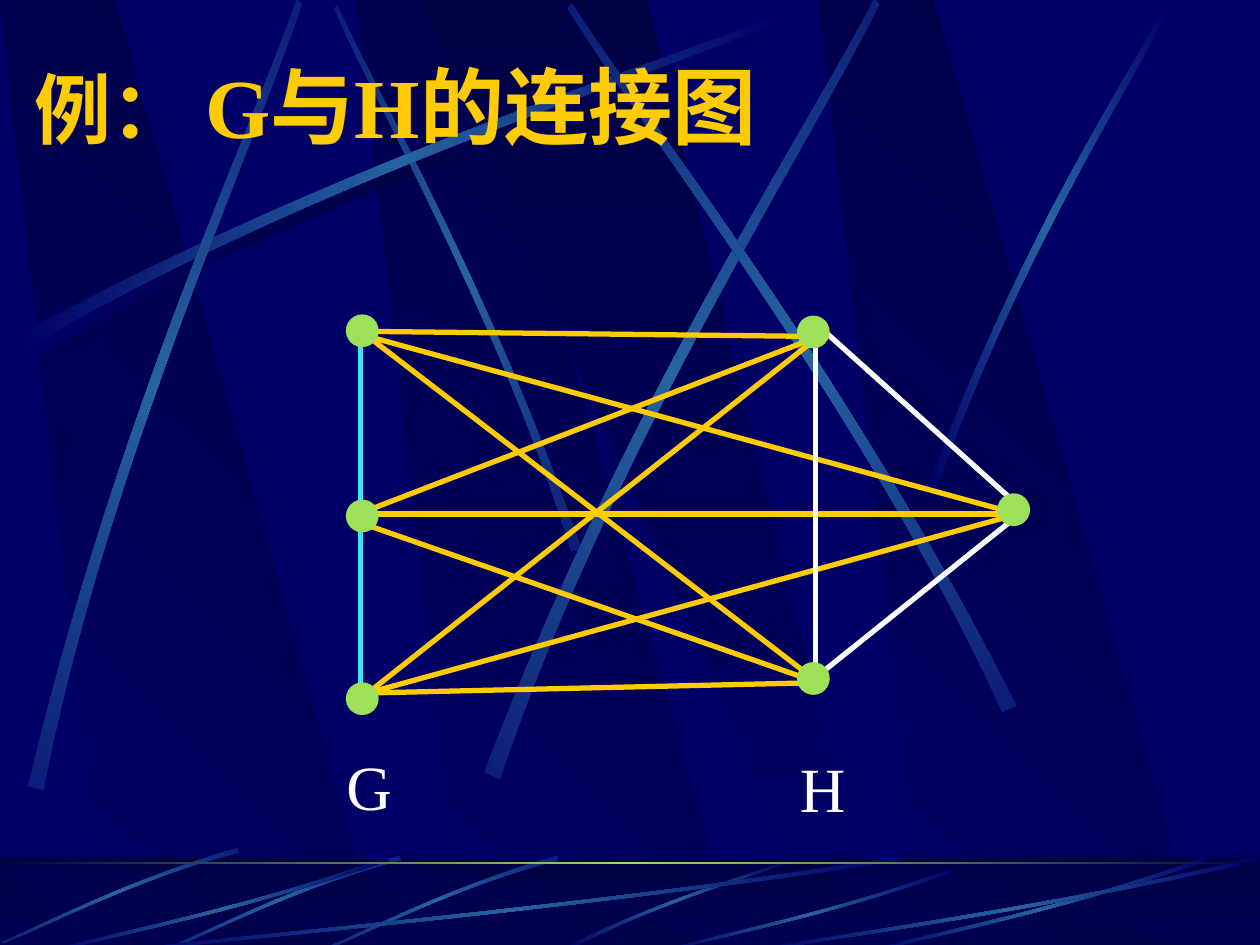
from copy import deepcopy

from lxml import etree
from pptx import Presentation
from pptx.dml.color import RGBColor
from pptx.enum.shapes import MSO_CONNECTOR, MSO_SHAPE
from pptx.enum.text import MSO_ANCHOR, MSO_AUTO_SIZE, PP_ALIGN
from pptx.oxml.ns import qn
from pptx.util import Inches, Pt

STRAIGHT = MSO_CONNECTOR.STRAIGHT
RECTANGLE, OVAL = MSO_SHAPE.RECTANGLE, MSO_SHAPE.OVAL
MIDDLE, LEFT = MSO_ANCHOR.MIDDLE, PP_ALIGN.LEFT
FIT_SHAPE = MSO_AUTO_SIZE.SHAPE_TO_FIT_TEXT
COLUMNS, ROWS = 10, 7.5
CELL = Inches(1)
LATIN, CHINESE = "Times New Roman", "Noto Sans CJK SC"
COLORS = {"night": "000066", "shade": "000044", "beam": "2663A0", "gold": "FFCC00",
          "green": "9CE157", "cyan": "40E2F8", "white": "FFFFFF"}
DUSK = ("shade", "night")
GLOW = ("night", "beam", "night")
SHADOW = ("night", "shade", "night")
RAY = [(0, .96), (.43, .43), (.83, .16), (1, 0),
       (1, .02), (.83, .19), (.38, .5), (.01, 1)]
BLADE = [(1, .04), (.57, .57), (.17, .85), (.01, 1),
         (0, .98), (.17, .81), (.62, .5), (.99, 0)]
BAND = [(.28, 1), (1, 1), (.3, 0), (0, 0)]
WEDGE = [(0, 0), (.9, 1), (1, 1), (.5, 0)]


def color(name):
    """Return the named colour."""
    return RGBColor.from_string(COLORS[name])


def cells(*lengths):
    """Convert grid lengths to slide units."""
    return [round(length * CELL) for length in lengths]


def paint(shape, names, angle=0):
    """Fill a shape with evenly spaced gradient stops and no outline."""
    shape.shadow.inherit = False
    shape.line.fill.background()
    shape.fill.gradient()
    shape.fill.gradient_angle = -angle % 360
    stop_list = next(shape.element.iter(qn("a:gsLst")))
    if len(names) == 3:
        stop_list.append(deepcopy(stop_list[0]))
    for index, (stop, name) in enumerate(zip(shape.fill.gradient_stops, names)):
        stop.color.rgb = color(name)
        stop.position = index / (len(names) - 1)


def solid(page, kind, box, name):
    """Add a plain shape of one colour."""
    shape = page.shapes.add_shape(kind, *cells(*box))
    shape.shadow.inherit = False
    shape.fill.solid()
    shape.fill.fore_color.rgb = color(name)
    return shape


def outline(page, box, points, names, angle):
    """Add a gradient polygon whose points are shares of its box."""
    left, top, width, height = box
    corners = [cells(left + x * width, top + y * height) for x, y in points]
    builder = page.shapes.build_freeform(*corners[0])
    builder.add_line_segments(corners[1:], close=True)
    shape = builder.convert_to_shape()
    paint(shape, names, angle)
    return shape


def bend(shape):
    """Turn the two long sides of an eight-point outline into cubic curves."""
    segments = list(shape.element.iter(qn("a:lnTo")))
    for side in (segments[:3], segments[4:7]):
        curve = etree.Element(qn("a:cubicBezTo"))
        side[0].addprevious(curve)
        for segment in side:
            curve.append(segment[0])
            segment.getparent().remove(segment)


def streak(page, box, points=RAY, turn=0, mirrored=False, names=GLOW):
    """Add a tapering beam of light in a box, mirrored and turned on request."""
    if mirrored:
        points = [(1 - x, y) for x, y in points]
    beam = outline(page, box, points, names, 180)
    bend(beam)
    beam.rotation = turn


def bands(page, box):
    """Add the dark diagonal bands of a backdrop region."""
    left, top, width, height = box
    for start in (.283, 0, .65):
        outline(page, (left + start * width, top, .302 * width, height), BAND, DUSK, 135)
    outline(page, (left + .333 * width, top, .361 * width, height), WEDGE, DUSK, 90)


def sky(page, box):
    """Add the large bands and light beams."""
    left, top = box[:2]
    bands(page, box)
    for x, y, width, height, turn, mirrored, names in (
            (.2, .18, 6.08, 2.67, 0, False, SHADOW),
            (1.41, 1.35, 4.42, 1.75, 45, True, GLOW),
            (.14, .1, 6.08, 2.67, 0, False, GLOW),
            (-1.71, 1.82, 6.08, 2.67, 311.7, False, GLOW),
            (2.31, 1.6, 6.24, 3.01, 321.6, False, GLOW),
            (3.23, 1.52, 6.08, 2.67, 34.8, True, GLOW),
            (7.38, 0, 1.89, 3.97, 0, False, GLOW)):
        streak(page, (left + x, top + y, width, height),
               turn=turn, mirrored=mirrored, names=names)


def floor(page, box):
    """Add the strip at the foot with its bands, beams and green rule."""
    left, top, width, height = box
    paint(page.shapes.add_shape(RECTANGLE, *cells(*box)), DUSK, 90)
    bands(page, (left, top + .08, width, height - .08))
    veil = solid(page, RECTANGLE, box, "shade")
    veil.line.fill.background()
    fill_color = next(veil.element.iter(qn("a:srgbClr")))
    etree.SubElement(fill_color, qn("a:alpha"), val="50000")
    streak(page, (left + 4.48, top + .02, 1.8, height - .02))
    for start, drop in ((2.58, -.04), (1.33, -.04), (.04, -.1)):
        streak(page, (left + start, top + drop, 1.84, .83), turn=314.9, mirrored=True)
    for start, length, drop in ((1, 6.17, 0), (.42, 2.67, 0), (5.27, 2.31, .09),
                                (6.92, 2.67, 0), (6, 4, 0)):
        streak(page, (left + start, top + drop, length, height - drop), BLADE)
    rule = page.shapes.add_shape(RECTANGLE, *cells(left, top + .04, width, .02))
    paint(rule, ("shade", "green", "shade"), 180)


def write(para, text, size, name, font=LATIN, bold=False):
    """Add a formatted span of text to a paragraph."""
    span = para.add_run()
    span.text = text
    span.font.size, span.font.bold, span.font.name = Pt(size), bold, font
    span.font.color.rgb = color(name)
    etree.SubElement(span.font._element, qn("a:ea"), typeface=CHINESE)


def heading(page, box):
    """Fill the title placeholder."""
    title = page.shapes.title
    title.left, title.top, title.width, title.height = cells(*box)
    frame = title.text_frame
    frame.vertical_anchor, frame.auto_size = MIDDLE, FIT_SHAPE
    para = frame.paragraphs[0]
    para.alignment = LEFT
    for text, size, font in (("例： ", 44, LATIN), ("G", 48, LATIN), ("与", 48, CHINESE),
                             ("H", 48, LATIN), ("的连接图", 48, CHINESE)):
        write(para, text, size, "gold", font, bold=True)


def graph(page, box, edges, nodes, labels):
    """Draw edges, then nodes, then labels, measured from the corner of the box."""
    left, top = box[:2]
    for name, ends in edges:
        for x1, y1, x2, y2 in ends:
            edge = page.shapes.add_connector(
                STRAIGHT, *cells(left + x1, top + y1, left + x2, top + y2))
            edge.line.color.rgb, edge.line.width = color(name), Pt(3)
            etree.SubElement(edge.element.spPr, qn("a:effectLst"))
    for x, y in nodes:
        node = solid(page, OVAL, (left + x, top + y, .25, .25), "green")
        node.line.color.rgb, node.line.width = color("green"), Pt(.75)
    for text, x, y in labels:
        label = page.shapes.add_textbox(*cells(left + x, top + y, .56, .7))
        label.text_frame.word_wrap = False
        label.text_frame.auto_size = FIT_SHAPE
        write(label.text_frame.paragraphs[0], text, 36, "white")


def main():
    """Build the deck."""
    deck = Presentation()
    deck.slide_width, deck.slide_height = cells(COLUMNS, ROWS)
    master = deck.slide_master
    master.background.fill.solid()
    master.background.fill.fore_color.rgb = color("night")
    page = deck.slides.add_slide(deck.slide_layouts[5])
    sky(page, (0, 0, COLUMNS, ROWS))
    floor(page, (0, 6.8, COLUMNS, .75))
    for shape in list(page.shapes):
        if not shape.is_placeholder:
            master.shapes.element.append(shape.element)
    heading(page, (.17, .38, 8.5, .9))
    joins = [(.17, 3, 3.75, .17), (.17, 3, 5.33, 1.58), (.17, 3, 3.67, 2.92),
             (.17, .13, 3.67, .17), (.17, .17, 3.75, 2.92), (.17, .17, 5.33, 1.58),
             (.17, 1.67, 3.75, 2.92), (.17, 1.55, 3.75, .17), (.17, 1.58, 5.33, 1.58)]
    triangle = [(3.72, .16, 3.72, 2.92), (3.75, .09, 5.33, 1.51), (3.67, 2.92, 5.33, 1.59)]
    graph(page, (2.75, 2.5, 5.42, 4.1),
          edges=[("gold", joins), ("cyan", [(.11, .17, .11, 3.08)]), ("white", triangle)],
          nodes=[(0, 0), (0, 1.47), (0, 2.92), (3.58, .01), (3.58, 2.76), (5.17, 1.42)],
          labels=[("G", -.1, 3.38), ("H", 3.5, 3.4)])
    deck.save("out.pptx")


if __name__ == "__main__":
    main()
